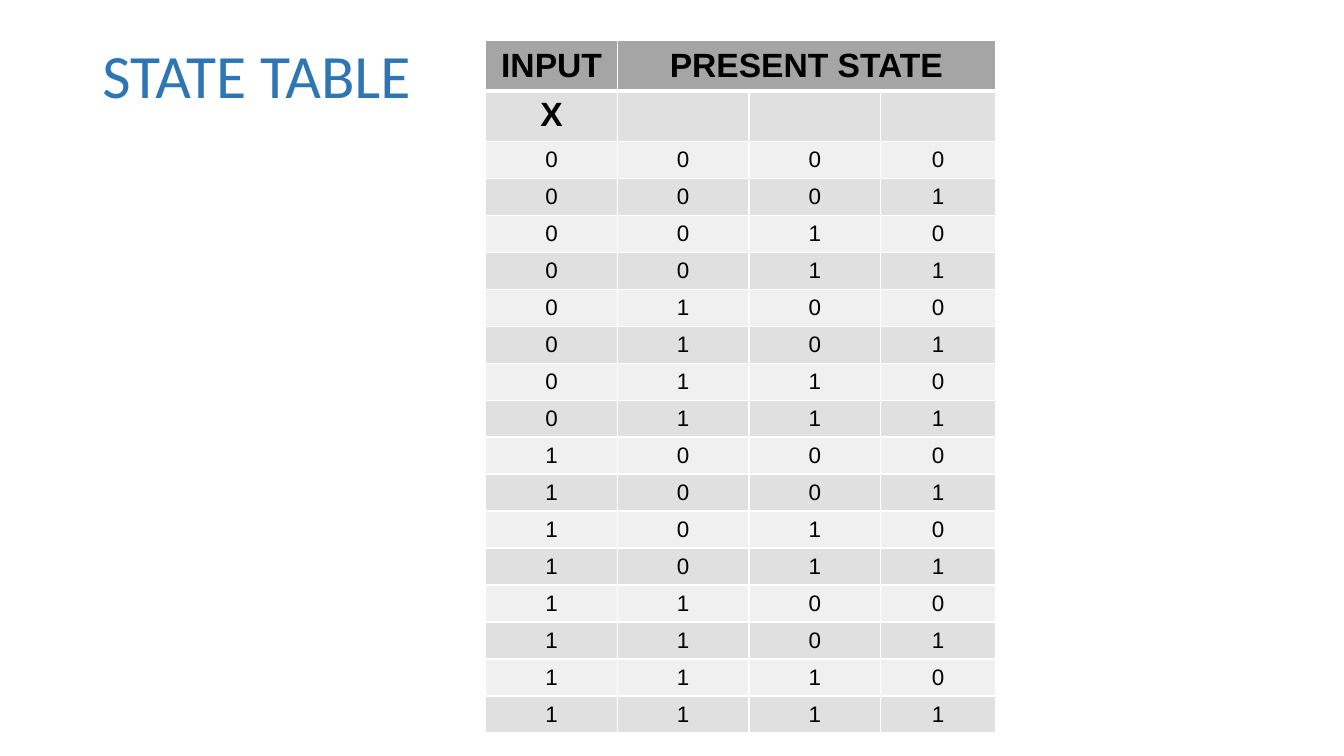
from itertools import product

from pptx import Presentation
from pptx.dml.color import RGBColor
from pptx.enum.text import MSO_ANCHOR, PP_ALIGN
from pptx.oxml import parse_xml
from pptx.oxml.ns import nsdecls
from pptx.util import Pt

BLUE = RGBColor(0x2E, 0x75, 0xB5)
BLACK = RGBColor(0, 0, 0)
WHITE = RGBColor(0xFF, 0xFF, 0xFF)
HEADER_GREY = RGBColor(0xA5, 0xA5, 0xA5)
DARK_BAND = RGBColor(0xE0, 0xE0, 0xE0)
LIGHT_BAND = RGBColor(0xF0, 0xF0, 0xF0)

COLUMN_WIDTHS = [94, 94, 94, 82]
HEADING_HEIGHT = 36
STATE_HEIGHT = 26.4
HEADINGS = [("INPUT", "PRESENT STATE", "", ""), ("X", "", "", "")]


def add_title(page, text):
    """Add the slide title."""
    box = page.shapes.add_textbox(Pt(66), Pt(28.8), Pt(828), Pt(104.4))
    box.text_frame.word_wrap = True
    para = box.text_frame.paragraphs[0]
    para.text = text
    para.line_spacing = 0.9
    para.font.name = "Calibri"
    para.font.size = Pt(44)
    para.font.color.rgb = BLUE


def add_border(cell, side, width):
    """Draw one white cell border."""
    cell.get_or_add_tcPr() if hasattr(cell, "get_or_add_tcPr") else None
    properties = cell._tc.get_or_add_tcPr()
    properties.append(parse_xml(
        f'<a:ln{side} {nsdecls("a")} w="{Pt(width)}"><a:solidFill>'
        f'<a:srgbClr val="{WHITE}"/></a:solidFill></a:ln{side}>'))


def style_cell(cell, text, row):
    """Fill, border and write one cell according to its row."""
    heading = row < len(HEADINGS)
    widths = {"L": 1, "R": 1, "T": 3 if row == 1 else 1, "B": 3 if row == 0 else 1}
    for side, width in widths.items():
        add_border(cell, side, width)
    cell.fill.solid()
    band = DARK_BAND if row % 2 else LIGHT_BAND
    cell.fill.fore_color.rgb = HEADER_GREY if row == 0 else band
    cell.vertical_anchor = MSO_ANCHOR.TOP if row == 1 else MSO_ANCHOR.MIDDLE
    para = cell.text_frame.paragraphs[0]
    para.text = text
    para.alignment = PP_ALIGN.CENTER
    para.font.name = "Arial"
    para.font.size = Pt(24 if heading else 16)
    para.font.bold = heading
    para.font.color.rgb = BLACK


def add_state_table(page):
    """Add the table of every input and present state."""
    rows = HEADINGS + list(product("01", repeat=len(COLUMN_WIDTHS)))
    heights = [HEADING_HEIGHT if row < len(HEADINGS) else STATE_HEIGHT
               for row in range(len(rows))]
    frame = page.shapes.add_table(
        len(rows), len(COLUMN_WIDTHS), Pt(347), Pt(28.8),
        Pt(sum(COLUMN_WIDTHS)), Pt(sum(heights)))
    table = frame.table
    for column, width in zip(table.columns, COLUMN_WIDTHS):
        column.width = Pt(width)
    for row, (values, height) in enumerate(zip(rows, heights)):
        table.rows[row].height = Pt(height)
        for column, text in enumerate(values):
            style_cell(table.cell(row, column), text, row)
    table.cell(0, 1).merge(table.cell(0, 3))


def main():
    """Build and save the deck."""
    deck = Presentation()
    deck.slide_width, deck.slide_height = Pt(960), Pt(540)
    page = deck.slides.add_slide(deck.slide_layouts[6])
    add_title(page, "STATE TABLE")
    add_state_table(page)
    deck.save("out.pptx")


if __name__ == "__main__":
    main()
